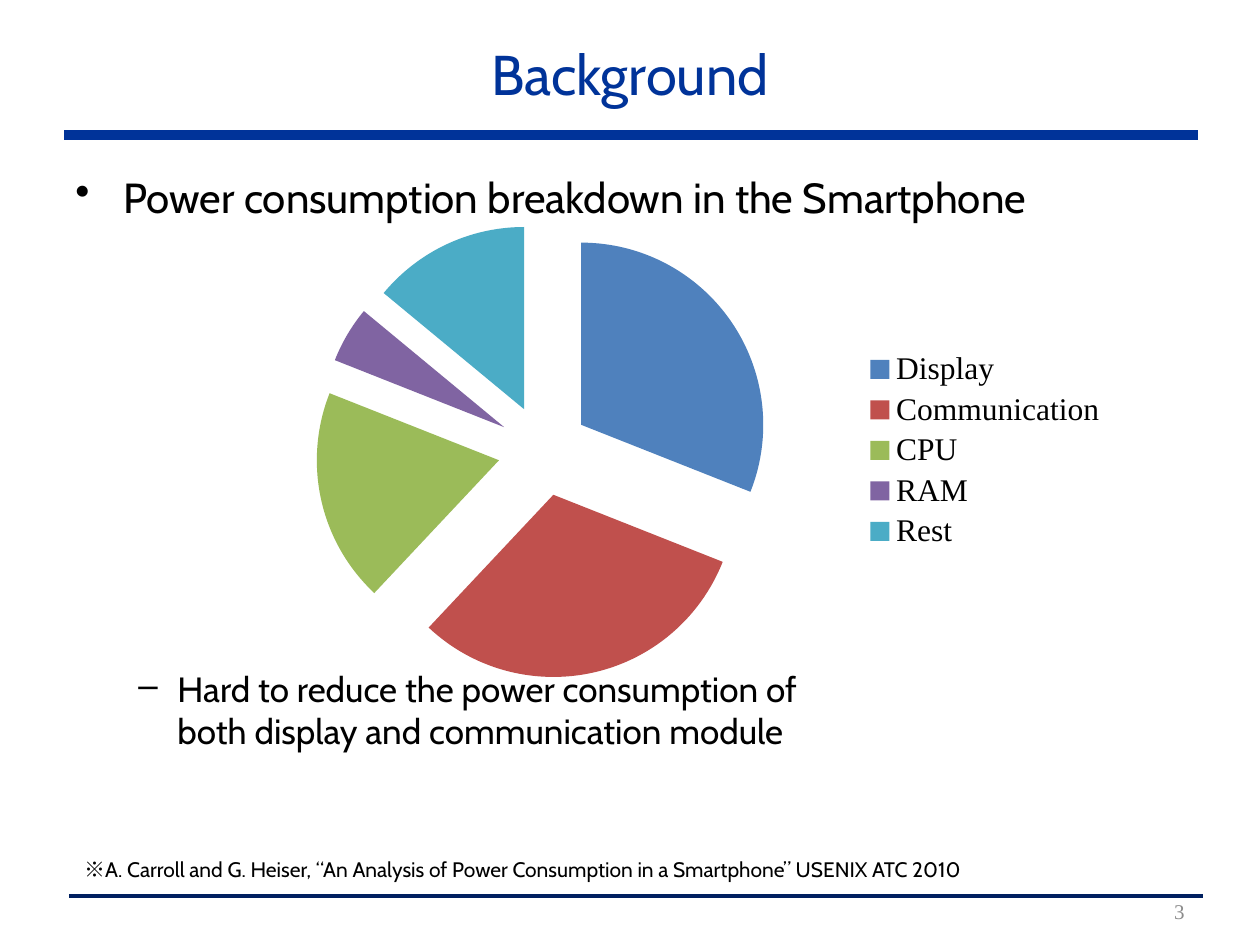
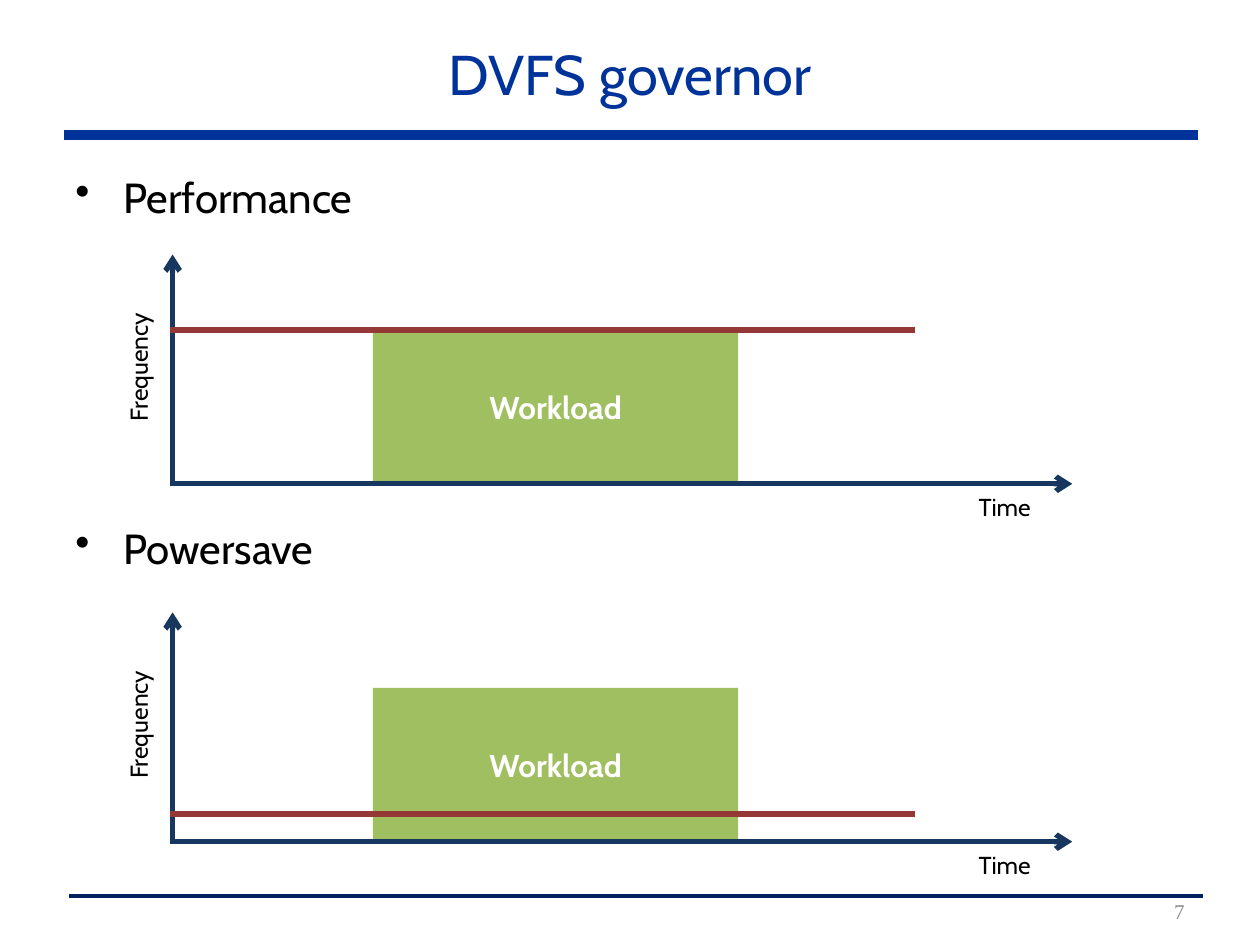
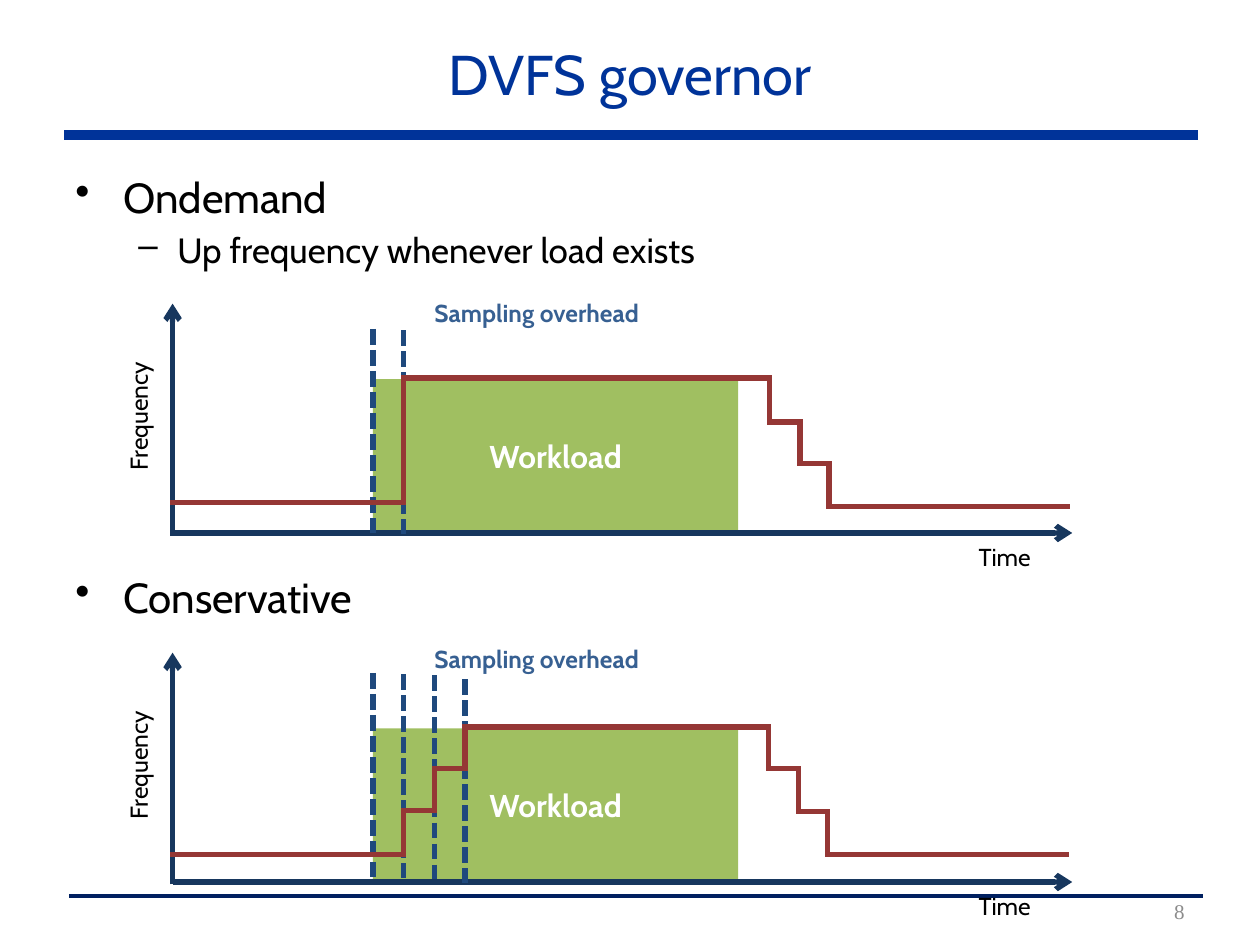
"""Builds three slides on smartphone power use and DVFS governors."""
from lxml import etree
from pptx import Presentation
from pptx.chart.data import CategoryChartData
from pptx.dml.color import RGBColor
from pptx.enum.chart import XL_CHART_TYPE, XL_LEGEND_POSITION
from pptx.enum.dml import MSO_LINE
from pptx.enum.shapes import MSO_CONNECTOR, MSO_SHAPE
from pptx.enum.text import MSO_ANCHOR, PP_ALIGN
from pptx.oxml.ns import qn
from pptx.util import Inches, Pt

LEFT, CENTER, RIGHT = PP_ALIGN.LEFT, PP_ALIGN.CENTER, PP_ALIGN.RIGHT
TOP, MIDDLE = MSO_ANCHOR.TOP, MSO_ANCHOR.MIDDLE
STRAIGHT, RECTANGLE = MSO_CONNECTOR.STRAIGHT, MSO_SHAPE.RECTANGLE
SHORT_DASH = MSO_LINE.SQUARE_DOT
PIE, LEGEND_RIGHT = XL_CHART_TYPE.PIE, XL_LEGEND_POSITION.RIGHT

THEME = {
    "text": {
        "title": ("Cabin", 32, "003399", False),
        "bullet": ("Cabin", 24, "000000", False),
        "dash": ("Cabin", 20, "000000", False),
        "number": ("Times New Roman", 12, "8C8C8C", False),
        "legend": ("Times New Roman", 18, "000000", False),
        "note": ("Cabin", 12, "000000", False),
        "note mark": ("Noto Sans CJK KR", 12, "000000", False),
        "axis": ("Cabin", 14, "000000", False),
        "sampling": ("Cabin", 14, "376092", True),
        "workload": ("Cabin", 18, "FFFFFF", True),
    },
    "line": {
        "title rule": ("003399", 6),
        "foot rule": ("002060", 2.25),
        "axis": ("17375E", 3),
        "frequency": ("953735", 3),
        "sampling": ("1F497D", 3),
    },
    "workload": "A0BF61",
    "slices": ["4F81BD", "C0504D", "9BBB59", "8064A2", "4BACC6"],
}

BULLETS = {"bullet": ("•", 0.38, 0.38), "dash": ("–", 0.81, 0.31)}
DIAGRAM_GAP = 172

POWER = {"Display": 31, "Communication": 31, "CPU": 19, "RAM": 5, "Rest": 14}
EXPLOSION = 25
SOURCE_NOTE = [
    ("note mark", "※"),
    ("note", "A. Carroll and G. Heiser, “An Analysis of Power Consumption "
             "in a Smartphone” USENIX ATC 2010"),
]

AXIS_LEFT, AXIS_RIGHT, AXIS_HEIGHT = 1.37, 8.51, 1.82
WORK_LEFT, WORK_WIDTH, WORK_HEIGHT = 2.96, 2.9, 1.22
SAMPLE_LENGTH = 1.62

# Each trace step is (height above the time axis, x where the step ends).
SLIDES = [
    {
        "title": "Background", "number": "3",
        "body": [
            ("bullet", "Power consumption breakdown in the Smartphone", 0),
            ("dash", "Hard to reduce the power consumption of\v"
                     "both display and communication module", 255),
        ],
        "power": POWER, "note": SOURCE_NOTE,
    },
    {
        "title": "DVFS governor", "number": "7",
        "body": [("bullet", "Performance", 0),
                 ("bullet", "Powersave", DIAGRAM_GAP)],
        "diagrams": [
            {"base": 3.84, "trace": [(1.22, 2.96), (1.22, 7.24)]},
            {"base": 6.68, "trace": [(0.22, 2.96), (0.22, 7.24)]},
        ],
    },
    {
        "title": "DVFS governor", "number": "8",
        "body": [("bullet", "Ondemand", 0),
                 ("dash", "Up frequency whenever load exists", 4),
                 ("bullet", "Conservative", DIAGRAM_GAP)],
        "diagrams": [
            {"base": 4.23, "label": 1.91,
             "samples": [(2.96, 1.62), (3.2, 1.61)],
             "trace": [(0.24, 2.97), (0.24, 3.2), (1.23, 6.11),
                       (0.88, 6.35), (0.55, 6.58), (0.21, 8.47)]},
            {"base": 7.0, "label": 1.94,
             "samples": [(2.96, 1.66), (3.2, 1.65), (3.45, 1.64), (3.69, 1.61)],
             "trace": [(0.22, 2.96), (0.22, 3.2), (0.57, 3.45), (0.9, 3.69),
                       (1.23, 6.1), (0.9, 6.34), (0.56, 6.57), (0.22, 8.46)]},
        ],
    },
]


def set_values(target, values):
    for name, value in values.items():
        setattr(target, name, value)


def style_font(font, style):
    name, size, color, bold = THEME["text"][style]
    set_values(font, {"name": name, "size": Pt(size), "bold": bold})
    font.color.rgb = RGBColor.from_string(color)


def write(paragraph, style, text, align=LEFT):
    paragraph.text = text
    paragraph.alignment = align
    for run in paragraph.runs:
        style_font(run.font, style)


def add_text(slide, box, style, text, align=LEFT, anchor=TOP, wrap=True):
    shape = slide.shapes.add_textbox(*map(Inches, box))
    set_values(shape.text_frame, {"word_wrap": wrap, "vertical_anchor": anchor})
    write(shape.text_frame.paragraphs[0], style, text, align)
    return shape


def add_line(slide, start, end, style, arrow=False, dash=None):
    color, width = THEME["line"][style]
    connector = slide.shapes.add_connector(STRAIGHT, *map(Inches, start + end))
    connector.line.color.rgb = RGBColor.from_string(color)
    connector.line.width = Pt(width)
    if dash:
        connector.line.dash_style = dash
    properties = connector._element.spPr
    outline = properties.find(qn("a:ln"))
    if arrow:
        etree.SubElement(outline, qn("a:tailEnd"), type="arrow")
    if style == "frequency":
        outline.set("cap", "sq")
    etree.SubElement(properties, qn("a:effectLst"))


def add_body(slide, items):
    shape = slide.shapes.add_textbox(*map(Inches, (0.5, 1.31, 9, 5.67)))
    frame = shape.text_frame
    frame.word_wrap = True
    for index, (style, text, gap) in enumerate(items):
        paragraph = frame.add_paragraph() if index else frame.paragraphs[0]
        write(paragraph, style, text)
        paragraph.space_before = Pt(gap)
        mark, margin, hanging = BULLETS[style]
        properties = paragraph._p.get_or_add_pPr()
        properties.set("marL", str(Inches(margin)))
        properties.set("indent", str(-Inches(hanging)))
        etree.SubElement(properties, qn("a:buChar"), char=mark)


def add_power_chart(slide, power):
    data = CategoryChartData()
    data.categories = list(power)
    data.add_series("Series 1", list(power.values()))
    box = map(Inches, (1.8, 1.63, 7.09, 3.89))
    chart = slide.shapes.add_chart(PIE, *box, data).chart
    set_values(chart, {"has_title": False, "has_legend": True})
    set_values(chart.legend, {"position": LEGEND_RIGHT, "include_in_layout": False})
    style_font(chart.font, "legend")
    plot = chart.plots[0]
    plot.vary_by_categories = True
    series = plot.series[0]
    for index, color in enumerate(THEME["slices"]):
        slice_format = series.points[index].format
        slice_format.fill.solid()
        slice_format.fill.fore_color.rgb = RGBColor.from_string(color)
        slice_format.line.fill.background()
    explosion = etree.Element(qn("c:explosion"), val=str(EXPLOSION))
    series._element.find(qn("c:dPt")).addprevious(explosion)


def add_note(slide, parts):
    shape = add_text(slide, (0.57, 6.75, 7.62, 0.3), *parts[0], wrap=False)
    for style, text in parts[1:]:
        run = shape.text_frame.paragraphs[0].add_run()
        run.text = text
        style_font(run.font, style)


def add_workload(slide, base):
    box = (WORK_LEFT, base - WORK_HEIGHT, WORK_WIDTH, WORK_HEIGHT)
    shape = slide.shapes.add_shape(RECTANGLE, *map(Inches, box))
    shape.shadow.inherit = False
    shape.fill.solid()
    shape.fill.fore_color.rgb = RGBColor.from_string(THEME["workload"])
    shape.line.fill.background()
    shape.text_frame.vertical_anchor = MIDDLE
    write(shape.text_frame.paragraphs[0], "workload", "Workload", CENTER)


def add_axes(slide, base):
    add_line(slide, (AXIS_LEFT, base), (AXIS_RIGHT, base), "axis", arrow=True)
    add_line(slide, (AXIS_LEFT, base + 0.02), (AXIS_LEFT, base - AXIS_HEIGHT),
             "axis", arrow=True)
    add_text(slide, (7.66, base + 0.02, 0.63, 0.34), "axis", "Time", CENTER, wrap=False)
    label = add_text(slide, (0.93, base - 1.39, 0.44, 0.99), "axis", "Frequency",
                     wrap=False)
    label.text_frame._txBody.bodyPr.set("vert", "vert270")


def trace_points(base, steps):
    points, left = [], AXIS_LEFT
    for height, right in steps:
        for point in ((left, base - height), (right, base - height)):
            if point not in points:
                points.append(point)
        left = right
    return points


def add_diagram(slide, diagram):
    base = diagram["base"]
    add_workload(slide, base)
    add_axes(slide, base)
    for x, height in diagram.get("samples", []):
        top = base - height
        add_line(slide, (x, top), (x, top + SAMPLE_LENGTH), "sampling", dash=SHORT_DASH)
    if "label" in diagram:
        add_text(slide, (3.21, base - diagram["label"], 2.1, 0.34), "sampling",
                 "Sampling overhead", CENTER, wrap=False)
    points = trace_points(base, diagram["trace"])
    for start, end in zip(points, points[1:]):
        add_line(slide, start, end, "frequency")


def add_frame(slide, title, number):
    add_line(slide, (0.55, 7.11), (9.55, 7.11), "foot rule")
    add_line(slide, (0.51, 1.07), (9.51, 1.07), "title rule")
    add_text(slide, (0.5, 0.16, 9, 0.84), "title", title, CENTER, MIDDLE)
    add_text(slide, (7.17, 7.11, 2.33, 0.24), "number", number, RIGHT, MIDDLE)


def build():
    presentation = Presentation()
    set_values(presentation, {"slide_width": Inches(10), "slide_height": Inches(7.5)})
    for content in SLIDES:
        slide = presentation.slides.add_slide(presentation.slide_layouts[6])
        add_frame(slide, content["title"], content["number"])
        add_body(slide, content["body"])
        if "power" in content:
            add_power_chart(slide, content["power"])
            add_note(slide, content["note"])
        for diagram in content.get("diagrams", []):
            add_diagram(slide, diagram)
    presentation.save("out.pptx")


build()
